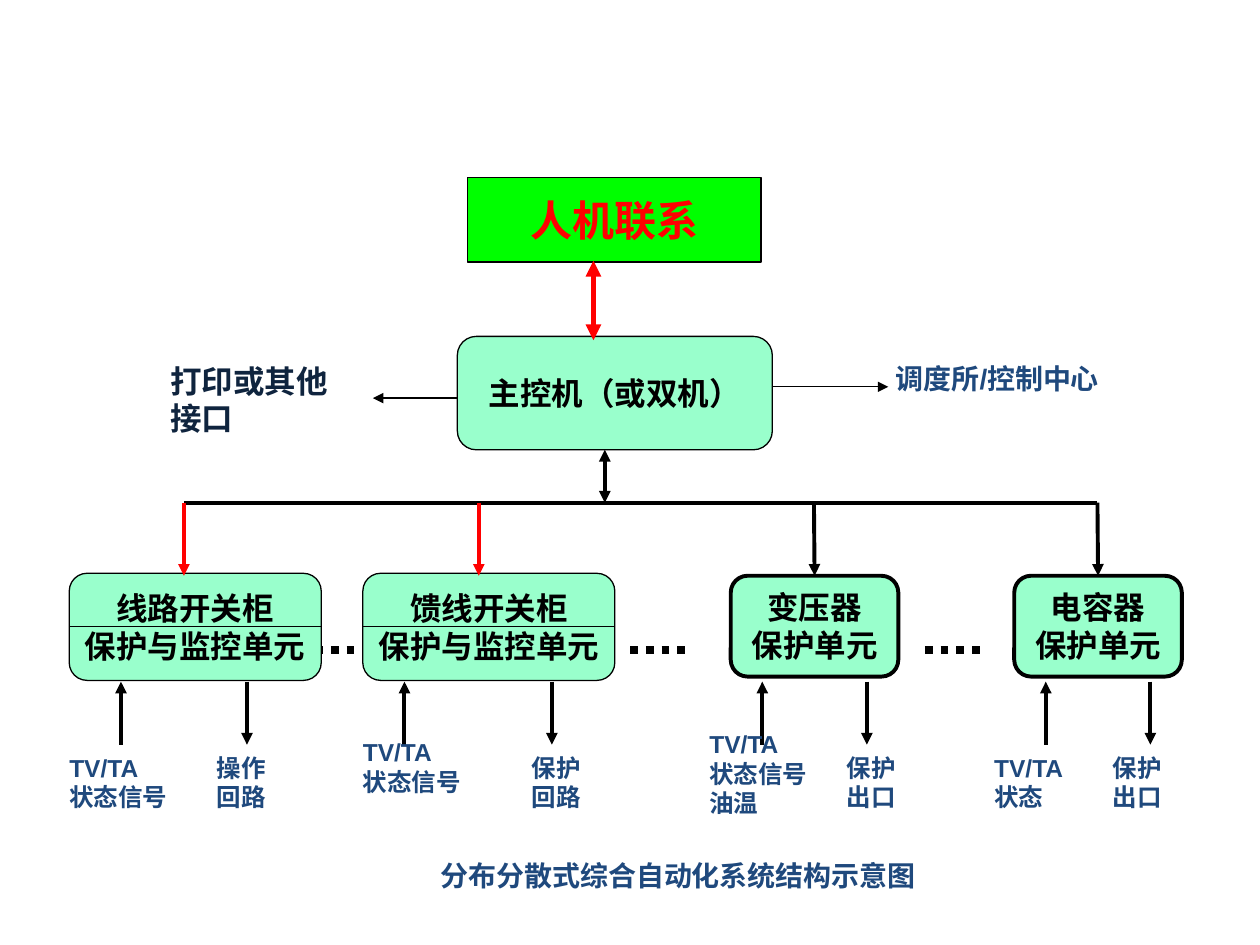
from lxml.etree import SubElement
from pptx import Presentation
from pptx.dml.color import RGBColor
from pptx.enum.dml import MSO_LINE
from pptx.enum.shapes import MSO_CONNECTOR, MSO_SHAPE
from pptx.enum.text import MSO_ANCHOR, MSO_AUTO_SIZE, PP_ALIGN
from pptx.oxml.ns import qn
from pptx.util import Inches, Pt

BLACK = RGBColor(0x00, 0x00, 0x00)
RED = RGBColor(0xFF, 0x00, 0x00)
GREEN = RGBColor(0x00, 0xFF, 0x00)
MINT = RGBColor(0x99, 0xFF, 0xCC)
NAVY = RGBColor(0x0F, 0x24, 0x3E)
BLUE = RGBColor(0x1F, 0x49, 0x7D)
CJK_FONT = "Noto Sans CJK JP"
OPERATOR_FONT = "Noto Sans CJK KR"

BUS_Y, DROP_END = 3.99, 4.57
SIGNAL_TOP, SIGNAL_BOTTOM = 5.41, 5.91
LABEL_SIZE = (0.92, 0.5)
CABINET = {"top": 4.55, "size": (2, 0.85), "weight": 0.75, "drop_color": RED, "divided": True}
DEVICE = {"top": 4.57, "size": (1.33, 0.8), "weight": 2.25, "drop_color": BLACK, "divided": False}

# Signals: arrow x, label left, label top, label lines
UNITS = [
    {"style": CABINET, "left": 0.55, "drop": 1.46, "name": ["线路开关柜", "保护与监控单元"],
     "input": (0.96, 0.55, 5.94, ["TV/TA", "状态信号"]),
     "output": (1.96, 1.72, 5.94, ["操作", "回路"])},
    {"style": CABINET, "left": 2.88, "drop": 3.8, "name": ["馈线开关柜", "保护与监控单元"],
     "input": (3.21, 2.88, 5.82, ["TV/TA", "状态信号"]),
     "output": (4.38, 4.22, 5.94, ["保护", "回路"])},
    {"style": DEVICE, "left": 5.8, "drop": 6.46, "name": ["变压器", "保护单元"],
     "input": (6.05, 5.63, 5.99, ["TV/TA", "状态信号", "油温"]),
     "output": (6.88, 6.72, 5.94, ["保护", "出口"])},
    {"style": DEVICE, "left": 8.05, "drop": 8.71, "name": ["电容器", "保护单元"],
     "input": (8.3, 7.89, 5.94, ["TV/TA", "状态"]),
     "output": (9.13, 8.83, 5.94, ["保护", "出口"])},
]
ELLIPSES = [(2.5, 2.83), (5, 5.5), (7.34, 7.84)]
ELLIPSIS_Y = 5.16
# Left, top, width, height, text
CAPTIONS = [
    (7.11, 2.58, 1.67, 0.56, "调度所/控制中心"),
    (3.5, 6.5, 4, 0.58, "分布分散式综合自动化系统结构示意图"),
]


def write(frame, lines, size, font, color, align, east_asian=CJK_FONT):
    for index, line in enumerate(lines):
        para = frame.paragraphs[0] if index == 0 else frame.add_paragraph()
        para.alignment = align
        span = para.add_run()
        span.text = line
        span.font.name = font
        span.font.size = Pt(size)
        span.font.bold = True
        span.font.color.rgb = color
        SubElement(span.font._element, qn("a:ea"), typeface=east_asian)


def add_label(page, left, top, width, height, lines, size):
    box = page.shapes.add_textbox(Inches(left), Inches(top), Inches(width), Inches(height))
    frame = box.text_frame
    frame.word_wrap = True
    frame.vertical_anchor = MSO_ANCHOR.BOTTOM
    frame.margin_left = frame.margin_right = frame.margin_bottom = 0
    frame.margin_top = Inches(0.05)
    write(frame, lines, size, "Arial", BLUE, PP_ALIGN.LEFT)


def add_block(page, preset, left, top, size, lines, fill=MINT, weight=0.75,
              text_size=18, font="Times New Roman", color=BLACK, east_asian=CJK_FONT):
    width, height = size
    block = page.shapes.add_shape(preset, Inches(left), Inches(top), Inches(width), Inches(height))
    block.shadow.inherit = False
    block.fill.solid()
    block.fill.fore_color.rgb = fill
    block.line.color.rgb = BLACK
    block.line.width = Pt(weight)
    frame = block.text_frame
    frame.word_wrap = False
    frame.vertical_anchor = MSO_ANCHOR.MIDDLE
    write(frame, lines, text_size, font, color, PP_ALIGN.CENTER, east_asian)
    return block


def add_line(page, start, end, weight=2.25, color=BLACK, arrows=(), dash=None):
    """Draw a line; arrows names its pointed ends: headEnd at start, tailEnd at end."""
    line = page.shapes.add_connector(
        MSO_CONNECTOR.STRAIGHT, *[Inches(value) for value in (*start, *end)])
    line.line.color.rgb = color
    line.line.width = Pt(weight)
    if dash is not None:
        line.line.dash_style = dash
    outline = line.line._get_or_add_ln()
    for arrow in arrows:
        SubElement(outline, qn(f"a:{arrow}"), type="triangle")
    SubElement(line._element.spPr, qn("a:effectLst"))
    return line


def add_unit(page, unit):
    style, left, drop = unit["style"], unit["left"], unit["drop"]
    top, (width, height) = style["top"], style["size"]
    block = add_block(page, MSO_SHAPE.FLOWCHART_ALTERNATE_PROCESS, left, top, style["size"],
                      unit["name"], weight=style["weight"])
    drop_line = add_line(page, (drop, BUS_Y), (drop, DROP_END),
                         color=style["drop_color"], arrows=["tailEnd"])
    if style["divided"]:
        middle = top + height / 2
        divider = add_line(page, (left, middle), (left + width, middle), 0.75)
        divider.begin_connect(block, 1)
        divider.end_connect(block, 3)
    else:
        drop_line.end_connect(block, 0)
    for signal, arrow in (("input", "headEnd"), ("output", "tailEnd")):
        x, label_left, label_top, lines = unit[signal]
        add_line(page, (x, SIGNAL_TOP), (x, SIGNAL_BOTTOM), arrows=[arrow])
        add_label(page, label_left, label_top, *LABEL_SIZE, lines, 14)


def main():
    deck = Presentation()
    deck.slide_width, deck.slide_height = Inches(10), Inches(7.5)
    page = deck.slides.add_slide(deck.slide_layouts[5])

    title = page.shapes.title
    title.left, title.top = Inches(1.25), Inches(2.89)
    title.width, title.height = Inches(1.67), Inches(0.56)
    title.text_frame.word_wrap = True
    title.text_frame.auto_size = MSO_AUTO_SIZE.NONE
    title.text_frame.vertical_anchor = MSO_ANCHOR.MIDDLE
    write(title.text_frame, ["打印或其他接口"], 18, CJK_FONT, NAVY, PP_ALIGN.LEFT)

    for start, end in ELLIPSES:
        add_line(page, (start, ELLIPSIS_Y), (end, ELLIPSIS_Y), 4.5, dash=MSO_LINE.ROUND_DOT)
    for left, top, width, height, text in CAPTIONS:
        add_label(page, left, top, width, height, [text], 16)

    add_block(page, MSO_SHAPE.FLOWCHART_PROCESS, 3.71, 1.41, (2.33, 0.67), ["人机联系"],
              fill=GREEN, text_size=24, font=OPERATOR_FONT, color=RED, east_asian=OPERATOR_FONT)
    add_block(page, MSO_SHAPE.FLOWCHART_ALTERNATE_PROCESS, 3.63, 2.67, (2.5, 0.9),
              ["主控机（或双机）"])
    add_line(page, (2.96, 3.16), (3.63, 3.16), 0.75, arrows=["headEnd"])
    add_line(page, (6.13, 3.07), (7.05, 3.07), 0.75, arrows=["tailEnd"])
    add_line(page, (4.71, 2.07), (4.71, 2.7), 3, RED, ["headEnd", "tailEnd"])
    add_line(page, (4.8, 3.57), (4.8, BUS_Y), arrows=["headEnd", "tailEnd"])
    add_line(page, (UNITS[0]["drop"], BUS_Y), (UNITS[-1]["drop"], BUS_Y))

    for unit in UNITS:
        add_unit(page, unit)
    deck.save("out.pptx")


if __name__ == "__main__":
    main()
